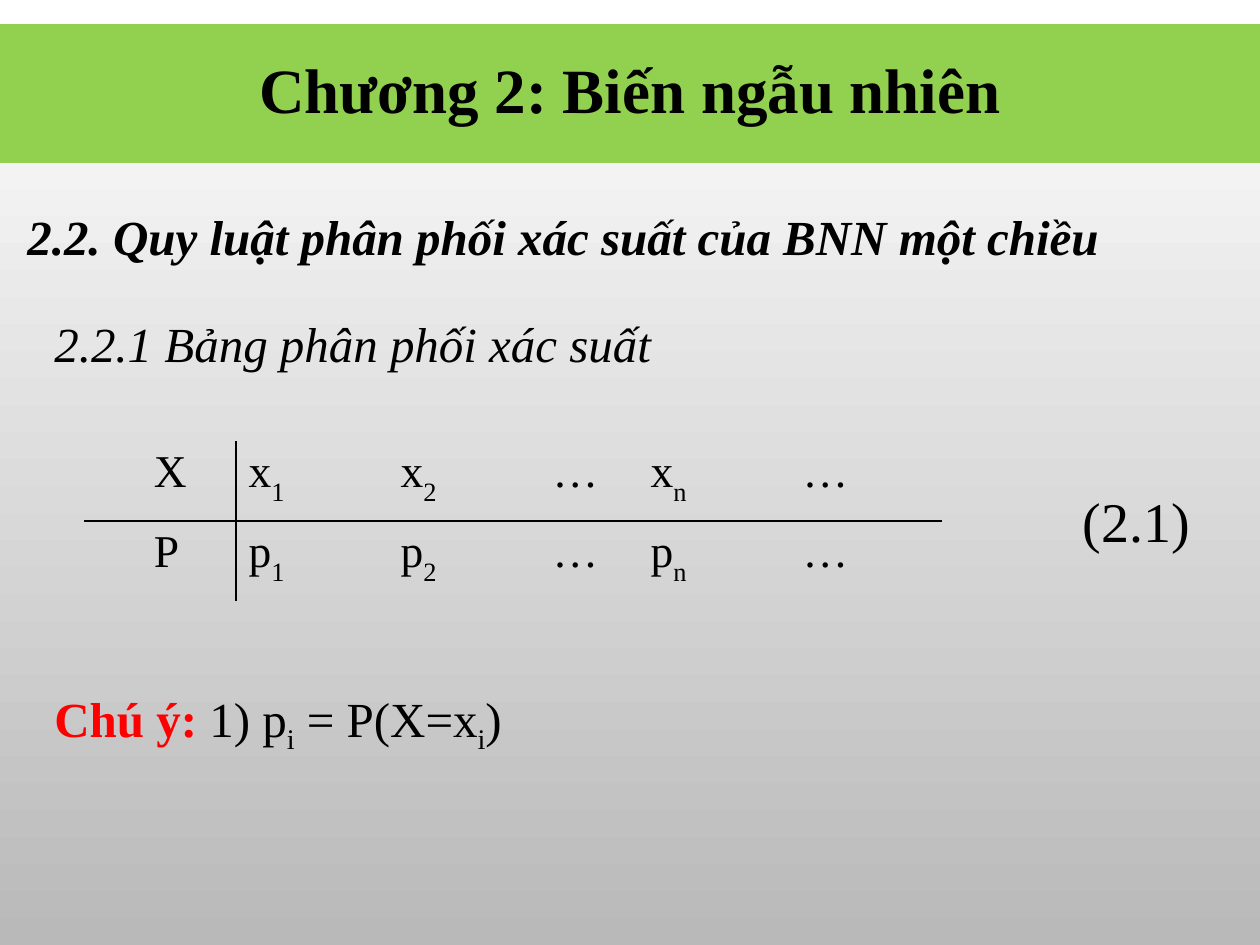
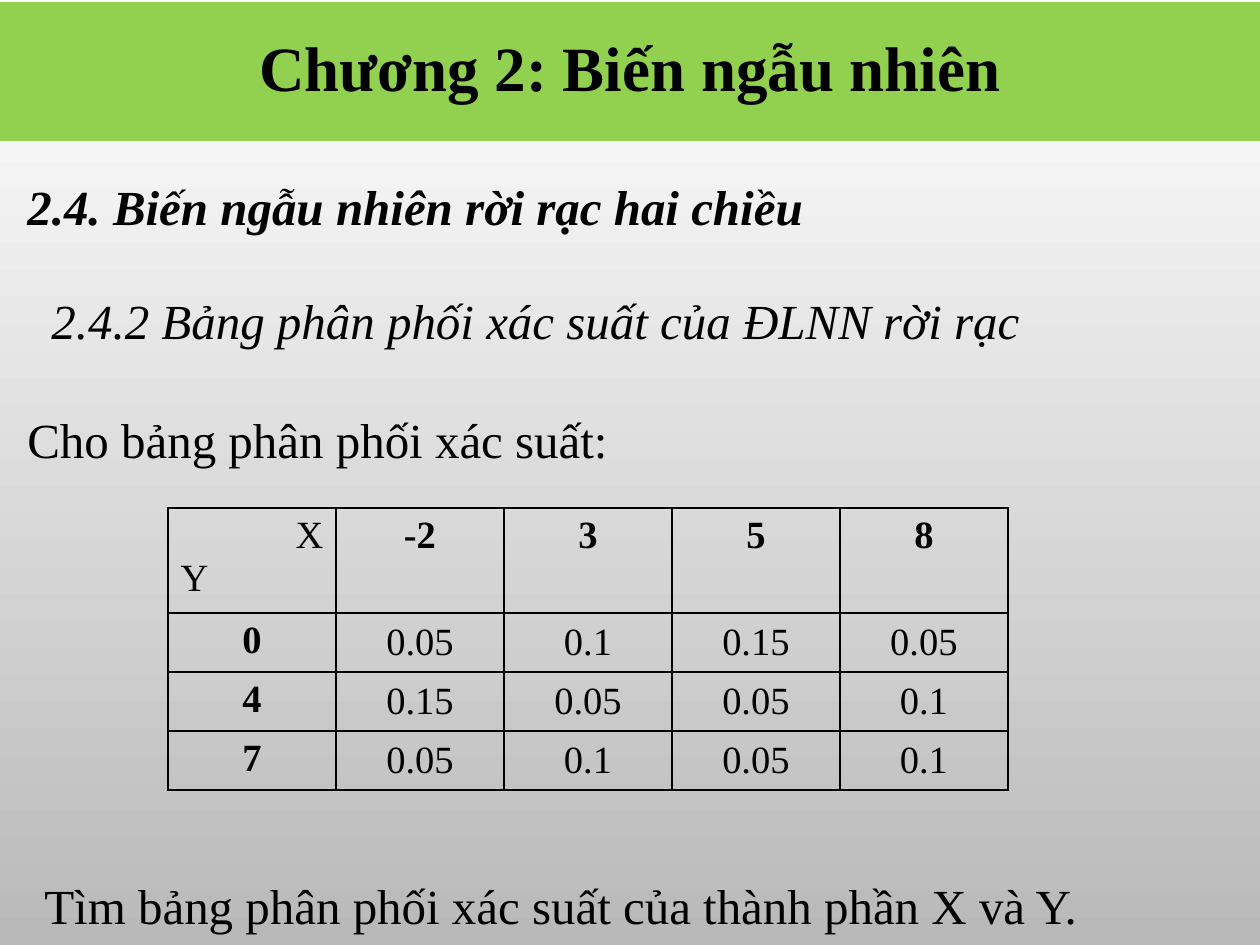
import pptx
import pptx.dml.color
import pptx.enum.text
import pptx.oxml.ns
import pptx.util
from lxml import etree

PX = 914400 / 126
FONT = "Times New Roman"
BLACK, RED, BAND_GREEN = "000000", "FF0000", "92D050"
BACKGROUND = ("FFFFFF", "B9B9B9")
ALIGN = pptx.enum.text.PP_ALIGN
ANCHOR = pptx.enum.text.MSO_ANCHOR
SECTION = {"size": 28, "bold": True, "italic": True}
SUBSECTION = {"size": 28, "italic": True}
BODY = {"size": 28}
LOOSE = {"line_spacing": 1.3, "space_after": pptx.util.Pt(4), "alignment": ALIGN.JUSTIFY}
EDGES = ("L", "R", "T", "B")


def px(length):
    return pptx.util.Emu(round(length * PX))


def rgb(hex_colour):
    return pptx.dml.color.RGBColor.from_string(hex_colour)


def set_all(target, values):
    for key, value in values.items():
        setattr(target, key, value)


def write(paragraph, parts, style, layout=None):
    """Fill a paragraph with a string or with (text, style changes) parts."""
    set_all(paragraph, layout or {})
    if isinstance(parts, str):
        parts = [(parts, {})]
    for text, changes in parts:
        look = {"name": FONT, "bold": False, "italic": False, "color": BLACK, **style, **changes}
        run = paragraph.add_run()
        run.text = text
        baseline = look.pop("baseline", None)
        run.font.color.rgb = rgb(look.pop("color"))
        look["size"] = pptx.util.Pt(look["size"])
        set_all(run.font, look)
        if baseline:
            run.font._element.set("baseline", str(baseline * 1000))


def indexed(symbol, index, drop=-30):
    return [(symbol, {}), (index, {"baseline": drop})]


def add_line(slide, box, parts, style, layout=None):
    frame = slide.shapes.add_textbox(*map(px, box)).text_frame
    frame.word_wrap = True
    write(frame.paragraphs[0], parts, style, layout)


def add_chapter_slide(deck, band_top):
    """Add a slide with the grey gradient and the green chapter band."""
    slide = deck.slides.add_slide(deck.slide_layouts[5])
    fill = slide.background.fill
    fill.gradient()
    fill.gradient_angle = 270
    for stop, colour in zip(fill.gradient_stops, BACKGROUND):
        stop.color.rgb = rgb(colour)

    band = slide.shapes.title
    band.left, band.top, band.width, band.height = map(px, (0, band_top, 1260, 139))
    band.fill.solid()
    band.fill.fore_color.rgb = rgb(BAND_GREEN)
    band.text_frame.vertical_anchor = ANCHOR.MIDDLE
    write(band.text_frame.paragraphs[0], "Chương 2: Biến ngẫu nhiên",
          {"size": 36, "bold": True}, {"alignment": ALIGN.CENTER, "line_spacing": 0.9})
    return slide


def rule_cell(cell, ruled):
    """Draw the ruled edges of a cell, hide the others, and clear its fill."""
    properties = cell._tc.get_or_add_tcPr()
    tag = pptx.oxml.ns.qn
    for edge in EDGES:
        line = etree.SubElement(properties, tag(f"a:ln{edge}"), w="12700")
        if edge in ruled:
            solid = etree.SubElement(line, tag("a:solidFill"))
            etree.SubElement(solid, tag("a:srgbClr"), val=BLACK)
        else:
            etree.SubElement(line, tag("a:noFill"))
    cell.fill.background()


def add_plain_table(slide, left, top, widths, heights):
    table = slide.shapes.add_table(len(heights), len(widths), px(left), px(top),
                                   px(sum(widths)), px(sum(heights))).table
    set_all(table, {"first_row": False, "horz_banding": False})
    for column, width in zip(table.columns, widths):
        column.width = px(width)
    for row, height in zip(table.rows, heights):
        row.height = px(height)
    return table


def add_distribution_table(slide, left, top):
    rows = [[name, indexed(symbol, "1"), indexed(symbol, "2"), "…", indexed(symbol, "n"), "…"]
            for name, symbol in (("X", "x"), ("P", "p"))]
    table = add_plain_table(slide, left, top, [152, 152, 152, 98, 152, 152], [80, 80])
    for r, row in enumerate(rows):
        for c, parts in enumerate(row):
            cell = table.cell(r, c)
            rule_cell(cell, "BT"[r] + {0: "R", 1: "L"}.get(c, ""))
            if c == 0:
                cell.margin_left = px(70)
            write(cell.text_frame.paragraphs[0], parts, {"size": 26}, {"alignment": ALIGN.JUSTIFY})


def add_joint_table(slide, left, top):
    x_values = ["-2", "3", "5", "8"]
    probabilities = {
        "0": ["0.05", "0.1", "0.15", "0.05"],
        "4": ["0.15", "0.05", "0.05", "0.1"],
        "7": ["0.05", "0.1", "0.05", "0.1"],
    }
    rows = [["", *x_values]] + [[y, *values] for y, values in probabilities.items()]
    table = add_plain_table(slide, left, top, [168] * 5, [105] + [59] * 3)
    for r, row in enumerate(rows):
        for c, text in enumerate(row):
            cell = table.cell(r, c)
            rule_cell(cell, EDGES)
            if r and c:
                set_all(cell, {"vertical_anchor": ANCHOR.MIDDLE, "margin_left": px(1),
                               "margin_right": px(1), "margin_top": px(1), "margin_bottom": 0})
            if r or c:
                write(cell.text_frame.paragraphs[0], text,
                      {"size": 22, "bold": not (r and c)}, {"alignment": ALIGN.CENTER})
    corner = table.cell(0, 0).text_frame
    write(corner.paragraphs[0], "X", {"size": 22}, {"alignment": ALIGN.RIGHT})
    write(corner.add_paragraph(), "Y", {"size": 22}, {"alignment": ALIGN.LEFT})


def build_one_variable_slide(deck):
    slide = add_chapter_slide(deck, 24)
    add_line(slide, (15, 200, 1229, 72),
             "2.2. Quy luật phân phối xác suất của BNN một chiều", SECTION)
    add_line(slide, (42, 307, 641, 72), "2.2.1 Bảng phân phối xác suất", SUBSECTION,
             {"alignment": ALIGN.JUSTIFY})
    add_distribution_table(slide, 84, 441)
    add_line(slide, (1070, 480, 147, 81), "(2.1)", {"size": 32})
    note = [("Chú ý: ", {"bold": True, "color": RED}), *indexed("1) p", "i", -25),
            *indexed(" = P(X=x", "i", -25), (")", {})]
    add_line(slide, (42, 682, 481, 72), note, BODY)


def build_two_variable_slide(deck):
    slide = add_chapter_slide(deck, 2)
    add_line(slide, (15, 170, 1229, 72), "2.4. Biến ngẫu nhiên rời rạc hai chiều", SECTION)
    add_line(slide, (39, 284, 1004, 72),
             "2.4.2 Bảng phân phối xác suất của ĐLNN rời rạc", SUBSECTION)
    add_line(slide, (15, 386, 877, 82), "Cho bảng phân phối xác suất:", BODY, LOOSE)
    add_joint_table(slide, 168, 508)
    add_line(slide, (32, 852, 1102, 82),
             "Tìm bảng phân phối xác suất của thành phần X và Y.", BODY, LOOSE)


def main():
    deck = pptx.Presentation()
    deck.slide_width, deck.slide_height = px(1260), px(945)
    build_one_variable_slide(deck)
    build_two_variable_slide(deck)
    deck.save("out.pptx")


if __name__ == "__main__":
    main()
